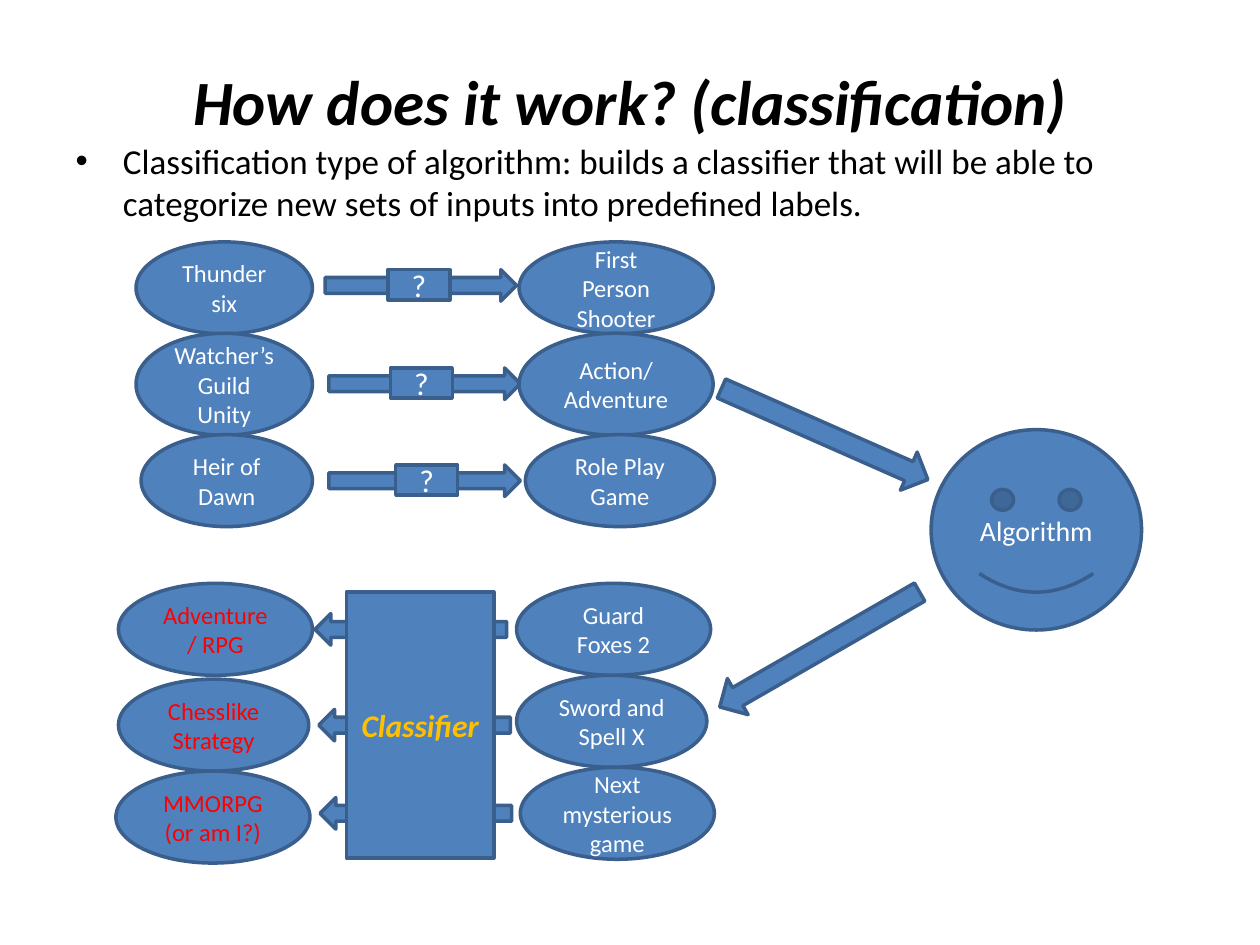
from pptx import Presentation
from pptx.dml.color import RGBColor
from pptx.enum.shapes import MSO_SHAPE as Shape
from pptx.enum.text import MSO_ANCHOR as Anchor, PP_ALIGN as Align
from pptx.util import Inches, Pt

BLACK = RGBColor(0x00, 0x00, 0x00)
WHITE = RGBColor(0xFF, 0xFF, 0xFF)
BLUE = RGBColor(0x4F, 0x81, 0xBD)
DARK_BLUE = RGBColor(0x3A, 0x5F, 0x8C)
RED = RGBColor(0xFF, 0x00, 0x00)
GOLD = RGBColor(0xFF, 0xC0, 0x00)

COLS, ROWS = 100, 75


class Diagram:
    """Draws on one slide; every box is (column, row, columns, rows)."""
    font = "Calibri"

    def __init__(self, prs):
        self.cell_w = prs.slide_width / COLS
        self.cell_h = prs.slide_height / ROWS
        self.s = prs.slides.add_slide(prs.slide_layouts[1])

    def place(self, box):
        x, y, w, h = box
        return (round(x * self.cell_w), round(y * self.cell_h),
                round(w * self.cell_w), round(h * self.cell_h))

    def set_text(self, sp, text, size, color, strong=False):
        tf = sp.text_frame
        tf.text = text
        p = tf.paragraphs[0]
        p.font.name, p.font.size = self.font, Pt(size)
        p.font.color.rgb = color
        if strong:
            p.font.bold = p.font.italic = True
        return p

    def placeholder(self, index, box, text, size, strong=False):
        sp = self.s.placeholders[index]
        sp.left, sp.top, sp.width, sp.height = self.place(box)
        self.set_text(sp, text, size, BLACK, strong)

    def shape(self, kind, box, text="", size=14, color=WHITE, strong=False):
        sp = self.s.shapes.add_shape(kind, *self.place(box))
        sp.shadow.inherit = False
        sp.fill.solid()
        sp.fill.fore_color.rgb = BLUE
        sp.line.color.rgb = DARK_BLUE
        sp.line.width = Pt(2)
        if text:
            sp.text_frame.word_wrap = True
            sp.text_frame.vertical_anchor = Anchor.MIDDLE
            p = self.set_text(sp, text, size, color, strong)
            p.alignment = Align.CENTER
        return sp

    def ellipse(self, box, text, color=WHITE):
        self.shape(Shape.OVAL, box, text, color=color)

    def arrow(self, box, rotation=0):
        self.shape(Shape.RIGHT_ARROW, box).rotation = rotation


def draw_training(d):
    """Known games on the left, their labels on the right."""
    rows = [
        # top, height, game, (left, width), label, (left, width), arrow, mark
        (19.2, 7.3, "Thunder six", (10.8, 14), "First Person Shooter", (41.2, 15.4),
         (25.8, 21.4), 30.8),
        (26.45, 8.1, "Watcher’s Guild Unity", (10.8, 14), "Action/ Adventure", (41.2, 15.4),
         (26.1, 29.2), 31),
        (34.5, 7.3, "Heir of Dawn", (11.2, 13.6), "Role Play Game", (41.7, 15),
         (26.1, 36.9), 31.4),
    ]
    for top, height, game, (gx, gw), label, (lx, lw), (ax, ay), mark_x in rows:
        d.ellipse((gx, top, gw, height), game)
        d.arrow((ax, ay, 15.2, 2.5))
        d.ellipse((lx, top, lw, height), label)
        d.shape(Shape.RECTANGLE, (mark_x, ay, 4.9, 2.4), "?", 18)


def draw_prediction(d):
    """New games on the right pass through the classifier to the left."""
    rows = [
        # game, (left, top, width), arrow, label, (left, top, width)
        ("Guard Foxes 2", (41, 46.3, 15.4), (25, 48.7),
         "Adventure / RPG", (9.4, 46.3, 15.4)),
        ("Sword and Spell X", (41, 53.6, 15.1), (25.3, 56.3),
         "Chesslike Strategy", (9.4, 53.9, 15.1)),
        ("Next mysterious game", (41.3, 60.9, 15.4), (25.4, 63.3),
         "MMORPG (or am I?)", (9.2, 61.2, 15.4)),
    ]
    for game, game_box, (ax, ay), label, label_box in rows:
        d.ellipse((*game_box, 7.3), game)
        d.arrow((ax, ay, 15.2, 2.5), 180)
        d.ellipse((*label_box, 7.3), label, RED)
    d.shape(Shape.RECTANGLE, (27.5, 47, 11.7, 21.1), "Classifier", 18, GOLD, True)


def main():
    prs = Presentation()
    prs.slide_width, prs.slide_height = Inches(10), Inches(7.5)
    d = Diagram(prs)
    d.placeholder(0, (5, 1.7, 90, 12.5), "How does it work? (classification)", 36, True)
    d.placeholder(1, (5, 10.6, 90, 49.5),
                  "Classification type of algorithm: builds a classifier that will be "
                  "able to categorize new sets of inputs into predefined labels.", 20)
    draw_training(d)
    d.shape(Shape.SMILEY_FACE, (73.9, 34.1, 16.7, 15.9), "Algorithm", 16)
    d.arrow((56.5, 32.8, 17.9, 3.3), 23.8)
    d.arrow((55.9, 49.9, 18.3, 3.3), 150.1)
    draw_prediction(d)
    prs.save("out.pptx")


if __name__ == "__main__":
    main()
